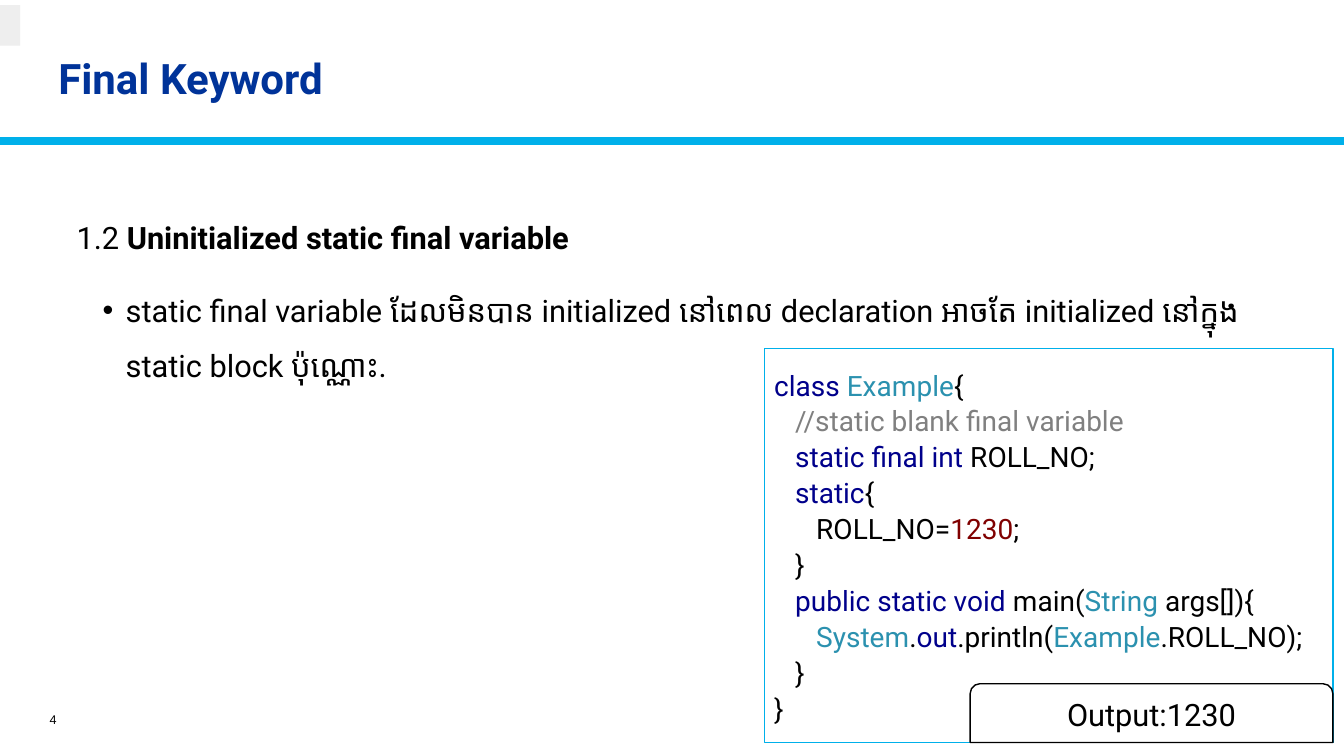
from lxml.etree import SubElement
from pptx import Presentation
from pptx.dml.color import RGBColor
from pptx.enum.shapes import MSO_CONNECTOR, MSO_SHAPE as SHAPE
from pptx.enum.text import MSO_ANCHOR as ANCHOR, PP_ALIGN as ALIGN
from pptx.oxml.ns import qn
from pptx.util import Cm, Pt

COLORS = {
    "white": "FFFFFF", "text": "000000", "title": "003399", "accent": "00B0EA",
    "tab": "EEEEEE", "keyword": "00008B", "type": "2B91AF",
    "comment": "808080", "number": "800000",
}
FONT = "Roboto"
CODE_INDENT = 0.53
CODE = [
    (0, [("class ", "keyword"), ("Example", "type"), ("{", "text")]),
    (1, [("//static blank final variable", "comment")]),
    (1, [("static final int", "keyword"), (" ROLL_NO;", "text")]),
    (1, [("static", "keyword"), ("{", "text")]),
    (2, [("ROLL_NO=", "text"), ("1230", "number"), (";", "text")]),
    (1, [("}", "text")]),
    (1, [("public static void", "keyword"), (" main(", "text"),
         ("String ", "type"), ("args[]){", "text")]),
    (2, [("System", "type"), (".", "text"), ("out", "keyword"),
         (".println(", "text"), ("Example", "type"), (".ROLL_NO);", "text")]),
    (1, [("}", "text")]),
    (0, [("}", "text")]),
]


def rgb(name):
    return RGBColor.from_string(COLORS[name])


def add_run(p, text, size, color="text", bold=False, font=FONT):
    r = p.add_run()
    r.text = text
    r.font.size = Pt(size)
    r.font.name = font
    r.font.bold = bold
    r.font.color.rgb = rgb(color)


def add_text(slide, box, anchor=ANCHOR.TOP):
    tf = slide.shapes.add_textbox(*map(Cm, box)).text_frame
    tf.word_wrap = True
    tf.vertical_anchor = anchor
    return tf


def add_panel(slide, box, kind, fill="white", line=None):
    sp = slide.shapes.add_shape(kind, *map(Cm, box))
    sp.shadow.inherit = False
    sp.fill.solid()
    sp.fill.fore_color.rgb = rgb(fill)
    if line:
        sp.line.color.rgb = rgb(line)
        sp.line.width = Pt(1)
    else:
        sp.line.fill.background()
    tf = sp.text_frame
    tf.word_wrap = True
    tf.vertical_anchor = ANCHOR.MIDDLE
    return tf


def set_indent(p, left, first=0):
    pPr = p._p.get_or_add_pPr()
    pPr.set("marL", str(Cm(left)))
    pPr.set("indent", str(Cm(first)))
    return pPr


def add_bullet(p, left, hanging):
    pPr = set_indent(p, left, -hanging)
    color = SubElement(pPr, qn("a:buClr"))
    SubElement(color, qn("a:srgbClr"), val=COLORS["text"])
    SubElement(pPr, qn("a:buFont"), typeface="Arial")
    SubElement(pPr, qn("a:buChar"), char="•")


def add_header(slide, box):
    left, top, width, height = box
    y = Cm(top + height)
    rule = slide.shapes.add_connector(
        MSO_CONNECTOR.STRAIGHT, Cm(left), y, Cm(left + width), y)
    rule.line.color.rgb = rgb("accent")
    rule.line.width = Pt(6)
    SubElement(rule._element.spPr, qn("a:effectLst"))
    tf = add_text(slide, (left + 1.22, top + 0.99, 22.91, 2.11), ANCHOR.MIDDLE)
    p = tf.paragraphs[0]
    p.line_spacing = 0.9
    add_run(p, "Final Keyword", 30, "title", True)
    add_panel(slide, (left, top + 0.13, 0.51, 1.02), SHAPE.RECTANGLE, "tab")


def add_body(slide, box):
    tf = add_text(slide, box)
    p = tf.paragraphs[0]
    p.line_spacing = 1.5
    p.space_before = Pt(16.5)
    add_run(p, "1.2 ", 22)
    add_run(p, "Uninitialized static final variable", 22, bold=True)
    p = tf.add_paragraph()
    p.line_spacing = 1.5
    p.space_before = Pt(12)
    add_bullet(p, 1.24, 0.58)
    add_run(p, "static final variable ដែលមិនបាន initialized នៅពេល declaration "
               "អាចតែ initialized នៅក្នុង static block ប៉ុណ្ណោះ.", 22)


def add_code(slide, box):
    left, top, width, height = box
    tf = add_panel(slide, box, SHAPE.RECTANGLE, line="accent")
    for i, (level, parts) in enumerate(CODE):
        p = tf.add_paragraph() if i else tf.paragraphs[0]
        p.alignment = ALIGN.LEFT
        p.line_spacing = 1.07
        set_indent(p, level * CODE_INDENT)
        for text, color in parts:
            add_run(p, text, 20, color)
    out_w, out_h = 9.14, 1.48
    out_box = (left + width - out_w, top + height - out_h, out_w, out_h)
    tf = add_panel(slide, out_box, SHAPE.ROUND_2_SAME_RECTANGLE, line="text")
    p = tf.paragraphs[0]
    p.alignment = ALIGN.CENTER
    add_run(p, "Output:1230", 22)


def add_page_number(slide, box):
    p = add_text(slide, box, ANCHOR.MIDDLE).paragraphs[0]
    p.alignment = ALIGN.RIGHT
    add_run(p, "4", 9, font="Arial")


def main():
    prs = Presentation()
    prs.slide_width, prs.slide_height = Cm(33.87), Cm(19.05)
    slide = prs.slides.add_slide(prs.slide_layouts[6])
    add_header(slide, (0, 0, 33.87, 3.56))
    add_body(slide, (1.68, 4.93, 30.61, 11.99))
    add_page_number(slide, (0.23, 17.75, 1.45, 0.76))
    add_code(slide, (19.26, 8.78, 14.33, 9.93))
    prs.save("out.pptx")


if __name__ == "__main__":
    main()
